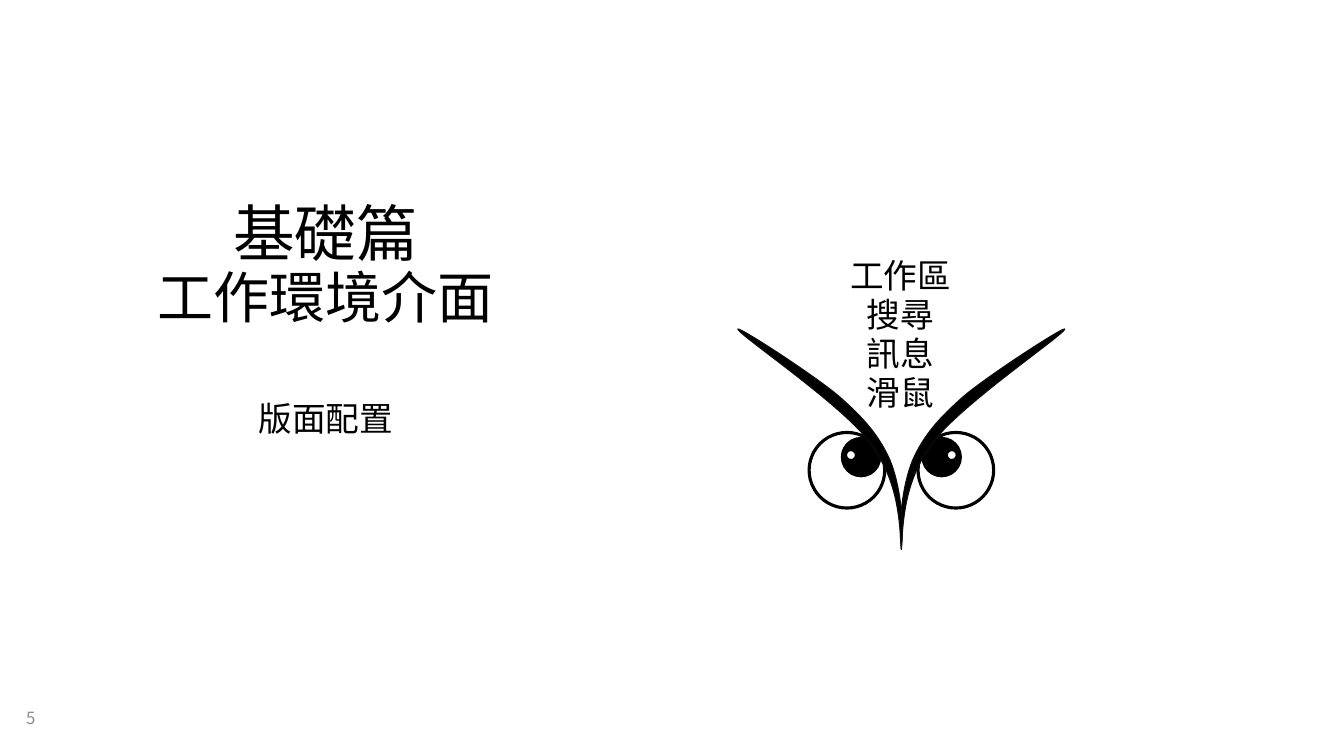
"""Build the workspace slide with its owl drawing."""
import pptx
import pptx.util
import pptx.dml.color
import pptx.enum.shapes
import pptx.enum.text
import pptx.oxml.ns
from lxml import etree

Inches, Pt, qn = pptx.util.Inches, pptx.util.Pt, pptx.oxml.ns.qn
Align, Anchor, Fit = (pptx.enum.text.PP_ALIGN, pptx.enum.text.MSO_ANCHOR,
                      pptx.enum.text.MSO_AUTO_SIZE)
FONT = "Noto Sans CJK SC"
BLACK, WHITE, GREY, DARK = "000000", "FFFFFF", "8C8C8C", "0D0D0D"
TITLE = [("基礎篇", 44), ("工作環境介面", 40)]
TOPICS = [("工作區", 1.21), ("搜尋", 0.88), ("訊息", 0.88), ("滑鼠", 0.88)]
AXIS = 8.94
EYE = [(0.54, 4.29, 0.75, None), (0.4, 4.35, 0.37, BLACK),
       (0.5, 4.46, 0.11, WHITE)]
START = (0, 5.45)
BROW = [
    ((0.02, 5.09), (0.05, 4.74), (0.32, 4.38)),
    ((0.59, 4.02), (1.57, 3.35), (1.62, 3.27)),
    ((1.67, 3.2), (0.88, 3.71), (0.62, 3.93)),
    ((0.37, 4.15), (0.22, 4.32), (0.11, 4.57)),
    ((0.01, 4.82), (-0.03, 5.19), (0, 5.45)),
]


def color(code):
    return pptx.dml.color.RGBColor.from_string(code)


def write(frame, lines, align=Align.LEFT, tint=BLACK):
    para = frame.paragraphs[0]
    para.alignment = align
    for i, (text, size) in enumerate(lines):
        if i:
            para.add_line_break()
        run = para.add_run()
        run.text = text
        run.font.name, run.font.size = FONT, Pt(size)
        run.font.color.rgb = color(tint)
        east = etree.SubElement(run.font._element, qn("a:ea"))
        east.set("typeface", FONT)
    return para


def add_text(slide, box, lines, wrap=True, **style):
    frame = slide.shapes.add_textbox(*map(Inches, box)).text_frame
    frame.word_wrap = wrap
    frame.auto_size = Fit.NONE if wrap else Fit.SHAPE_TO_FIT_TEXT
    return frame, write(frame, lines, **style)


def paint(shape, fill, line, width):
    shape.shadow.inherit = False
    if fill:
        shape.fill.solid()
        shape.fill.fore_color.rgb = color(fill)
    else:
        shape.fill.background()
    shape.line.color.rgb = color(line)
    shape.line.width = Pt(width)


def bend(shape):
    lines = list(shape._element.iter(qn("a:lnTo")))
    for i in range(0, len(lines), 3):
        curve = etree.Element(qn("a:cubicBezTo"))
        lines[i].addprevious(curve)
        for line in lines[i:i + 3]:
            curve.append(line[0])
            line.getparent().remove(line)


def add_eye(slide, side):
    oval = pptx.enum.shapes.MSO_SHAPE.OVAL
    for shift, top, size, fill in EYE:
        left = AXIS + side * shift - size / 2
        ring = slide.shapes.add_shape(
            oval, *map(Inches, (left, top, size, size)))
        paint(ring, fill, BLACK, 2.25)


def add_brow(slide, side):
    def place(dot):
        return Inches(AXIS + side * dot[0]), Inches(dot[1])

    pen = slide.shapes.build_freeform(*place(START))
    pen.add_line_segments([place(dot) for curve in BROW for dot in curve],
                          close=False)
    brow = pen.convert_to_shape()
    bend(brow)
    paint(brow, BLACK, DARK, 0.75)


def main():
    deck = pptx.Presentation()
    deck.slide_width, deck.slide_height = Inches(13.33), Inches(7.5)
    slide = deck.slides.add_slide(deck.slide_layouts[5])

    title = slide.shapes.title
    title.left, title.top, title.width, title.height = map(
        Inches, (0.57, 1.23, 5.32, 2.1))
    title.text_frame.auto_size = Fit.NONE
    title.text_frame.vertical_anchor = Anchor.BOTTOM
    write(title.text_frame, TITLE, Align.CENTER).line_spacing = 0.9

    _, para = add_text(slide, (0.57, 3.94, 5.32, 1.81),
                       [("版面配置", 24)], align=Align.CENTER)
    para.line_spacing, para.space_before = 0.9, Pt(10)
    frame, _ = add_text(slide, (0.16, 6.93, 0.67, 0.39), [("5", 12)],
                        tint=GREY)
    frame.vertical_anchor = Anchor.MIDDLE

    for i, (text, width) in enumerate(TOPICS):
        box = (AXIS - width / 2, 2.48 + 0.387 * i, width, 0.5)
        add_text(slide, box, [(text, 24)], wrap=False)

    for part in (add_eye, add_brow):
        for side in (1, -1):
            part(slide, side)
    deck.save("out.pptx")


if __name__ == "__main__":
    main()
